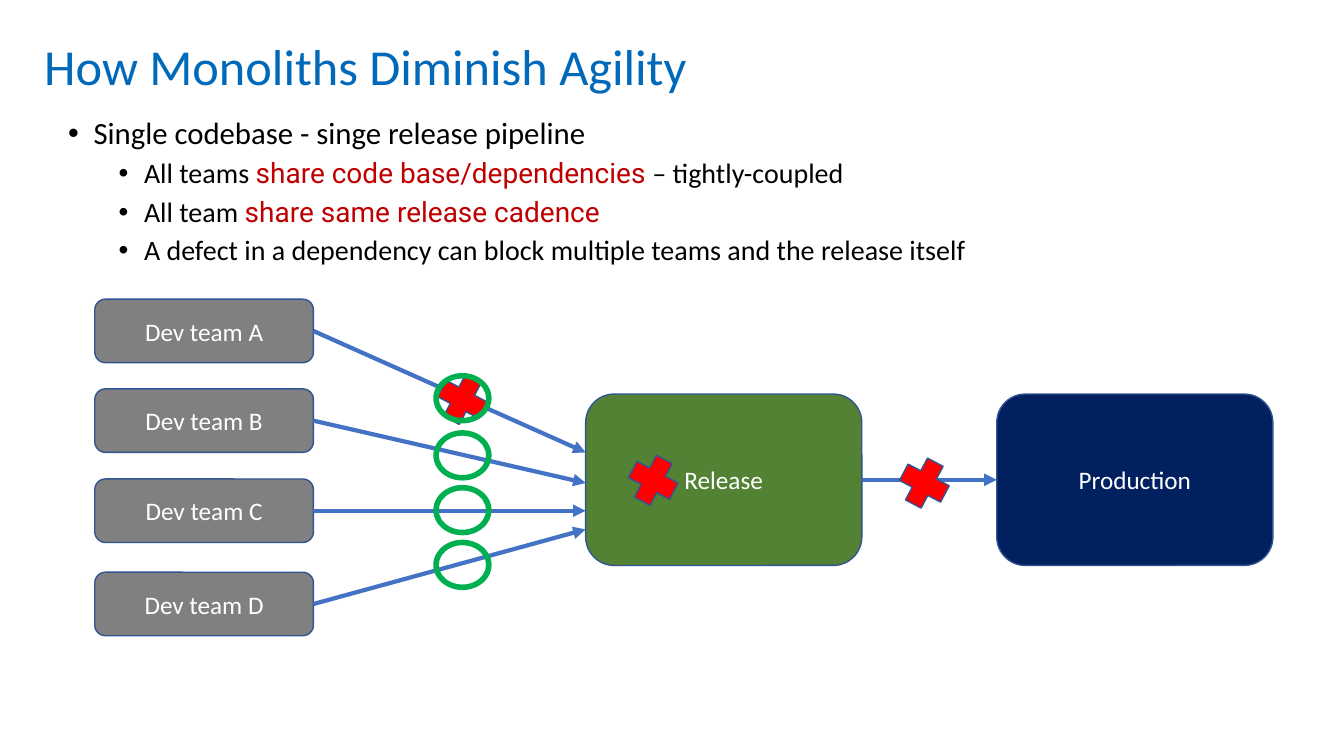
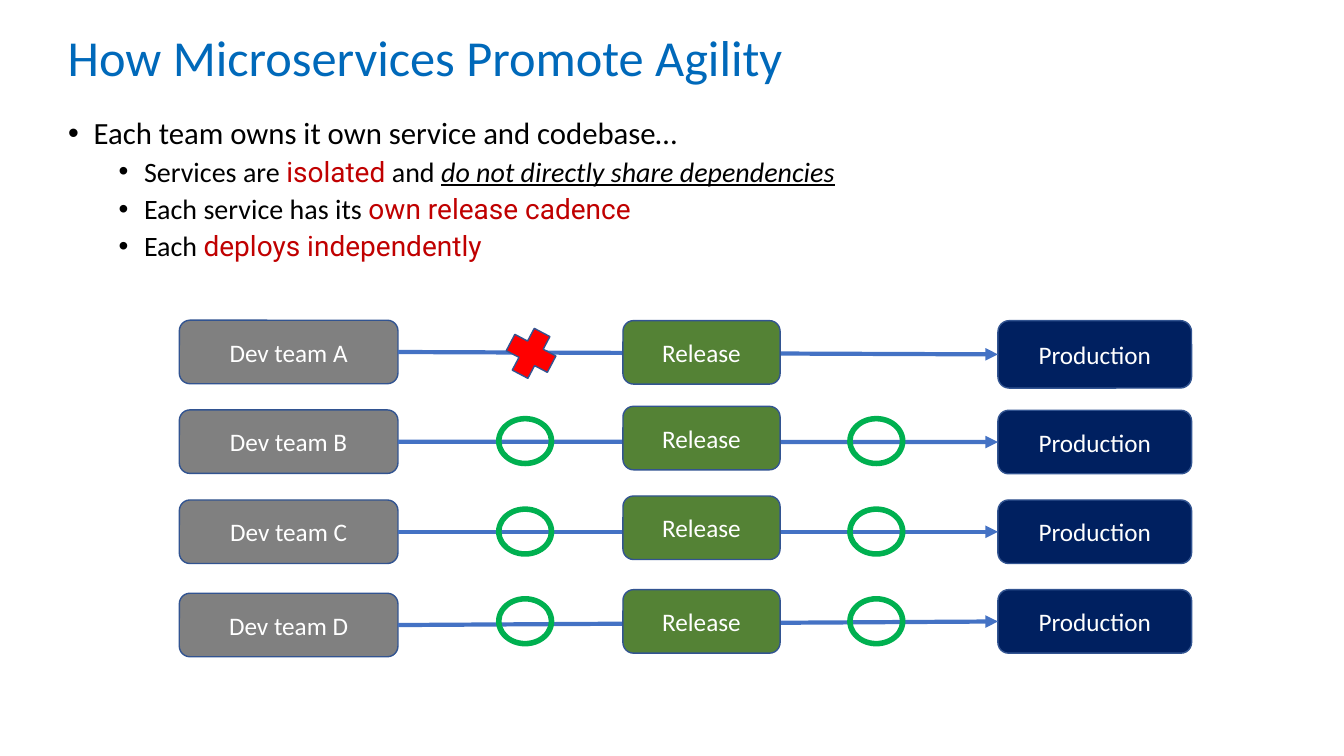
from dataclasses import dataclass

import pptx
import pptx.dml.color
import pptx.enum.shapes
import pptx.enum.text
import pptx.oxml
import pptx.oxml.ns
import pptx.util
from pptx.util import Cm, Pt

SHAPE = pptx.enum.shapes.MSO_SHAPE
ALIGN = pptx.enum.text.PP_ALIGN
COLORS = {
    "title": "0069BA", "text": "000000", "highlight": "C00000", "white": "FFFFFF",
    "team": "808080", "release": "548235", "production": "002060",
    "outline": "325491", "arrow": "4472C4", "blocked": "FF0000", "clear": "00B050",
}
TEAMS = ("A", "B", "C", "D")
TEAM_OFFSETS = (0, 2.26, 4.53, 6.88)
TEAM_WIDTH, ROW_HEIGHT = 5.51, 1.6


@dataclass(frozen=True)
class Box:
    """A place on the slide, in centimetres."""
    left: float
    top: float
    width: float
    height: float

    def lengths(self) -> tuple:
        return Cm(self.left), Cm(self.top), Cm(self.width), Cm(self.height)


@dataclass(frozen=True)
class Phrase:
    text: str
    highlight: bool = False
    emphasis: bool = False


@dataclass(frozen=True)
class Bullet:
    phrases: tuple
    level: int = 1


def rgb(name: str):
    return pptx.dml.color.RGBColor.from_string(COLORS[name])


def write(paragraph, text: str, *, size: float = 18, color: str = "text",
          font: str = "Calibri", emphasis: bool = False) -> None:
    run = paragraph.add_run()
    run.text = text
    run.font.name = font
    run.font.size = Pt(size)
    run.font.color.rgb = rgb(color)
    if emphasis:
        run.font.italic = run.font.underline = True


def add_slide(deck, title: str, place: Box):
    slide = deck.slides.add_slide(deck.slide_layouts[5])
    heading = slide.shapes.title
    heading.left, heading.top, heading.width, heading.height = place.lengths()
    frame = heading.text_frame
    frame.auto_size = pptx.enum.text.MSO_AUTO_SIZE.NONE
    frame.vertical_anchor = pptx.enum.text.MSO_ANCHOR.MIDDLE
    paragraph = frame.paragraphs[0]
    paragraph.alignment = ALIGN.LEFT
    paragraph.line_spacing = 0.9
    write(paragraph, title, size=36, color="title")
    return slide


def add_bullets(slide, bullets: tuple, gap: float) -> None:
    frame = slide.shapes.add_textbox(*Box(1.47, 2.84, 29.21, 4.2).lengths()).text_frame
    frame.word_wrap = True
    for index, bullet in enumerate(bullets):
        paragraph = frame.add_paragraph() if index else frame.paragraphs[0]
        paragraph.level = bullet.level
        paragraph.line_spacing = 0.9
        paragraph.space_before = Pt(gap if index else 0)
        properties = paragraph._p.get_or_add_pPr()
        properties.set("marL", str(Cm(0.64 + 1.27 * bullet.level)))
        properties.set("indent", str(Cm(-0.64)))
        for tag, attribute, value in (("a:buFont", "typeface", "Arial"),
                                      ("a:buChar", "char", "•")):
            mark = pptx.oxml.xmlchemy.OxmlElement(tag)
            mark.set(attribute, value)
            properties.append(mark)
        for phrase in bullet.phrases:
            write(paragraph, phrase.text, size=20 if bullet.level else 22,
                  font="Roboto" if phrase.highlight else "Calibri",
                  color="highlight" if phrase.highlight else "text",
                  emphasis=phrase.emphasis)


def add_figure(slide, preset, place: Box, fill: str, outlined: bool = True):
    figure = slide.shapes.add_shape(preset, *place.lengths())
    figure.shadow.inherit = False
    figure.fill.solid()
    figure.fill.fore_color.rgb = rgb(fill)
    if outlined:
        figure.line.color.rgb = rgb("outline")
        figure.line.width = Pt(1)
    else:
        figure.line.fill.background()
    return figure


def add_stage(slide, label: str, place: Box, fill: str):
    stage = add_figure(slide, SHAPE.ROUNDED_RECTANGLE, place, fill)
    stage.text_frame.vertical_anchor = pptx.enum.text.MSO_ANCHOR.MIDDLE
    paragraph = stage.text_frame.paragraphs[0]
    paragraph.alignment = ALIGN.CENTER
    write(paragraph, label, color="white")
    return stage


def add_teams(slide, left: float, top: float) -> list:
    return [add_stage(slide, f"Dev team {team}",
                      Box(left, top + offset, TEAM_WIDTH, ROW_HEIGHT), "team")
            for team, offset in zip(TEAMS, TEAM_OFFSETS)]


def add_cross(slide, left: float, top: float) -> None:
    cross = add_figure(slide, SHAPE.CROSS, Box(left, top, 1.17, 1.19), "blocked")
    cross.adjustments[0] = 0.31
    cross.rotation = 27.8


def add_ring(slide, left: float, top: float) -> None:
    ring = add_figure(slide, SHAPE.DONUT, Box(left, top, 1.47, 1.27), "clear", outlined=False)
    ring.adjustments[0] = 0.11


def add_arrow(slide, source, target=None, end: tuple = (0, 0)) -> None:
    """Run from the right side of source to the left side of target, or to a point."""
    arrow = slide.shapes.add_connector(
        pptx.enum.shapes.MSO_CONNECTOR.STRAIGHT, 0, 0, Cm(end[0]), Cm(end[1]))
    arrow.begin_connect(source, 3)
    if target is not None:
        arrow.end_connect(target, 1)
    arrow.line.color.rgb = rgb("arrow")
    arrow.line.width = Pt(3)
    head = pptx.oxml.xmlchemy.OxmlElement("a:tailEnd")
    head.set("type", "triangle")
    arrow.line._get_or_add_ln().append(head)
    arrow._element.spPr.append(pptx.oxml.xmlchemy.OxmlElement("a:effectLst"))


def build_monolith(deck) -> None:
    slide = add_slide(deck, "How Monoliths Diminish Agility", Box(0.86, 0.66, 29.21, 2.18))
    add_bullets(slide, (
        Bullet((Phrase("Single codebase - singe release pipeline"),), level=0),
        Bullet((Phrase("All teams "), Phrase("share code base/dependencies", highlight=True),
                Phrase(" – tightly-coupled"))),
        Bullet((Phrase("All team "), Phrase("share same release cadence", highlight=True))),
        Bullet((Phrase("A defect in a dependency can block multiple teams "
                       "and the release itself"),)),
    ), gap=6)

    # Four teams feed one shared release
    release_left = 14.76
    release = add_stage(slide, "Release", Box(release_left, 9.93, 6.96, 4.32), "release")
    production = add_stage(slide, "Production", Box(25.12, 9.93, 6.96, 4.32), "production")
    teams = add_teams(slide, 2.39, 7.54)
    for team, entry in zip(teams, (11.4, 12.17, 12.87, 13.34)):
        add_arrow(slide, team, end=(release_left, entry))
    add_arrow(slide, release, production)

    # Status marks
    for left, top in ((11.07, 9.47), (22.71, 11.58), (15.88, 11.51)):
        add_cross(slide, left, top)
    for top in (9.4, 10.84, 12.22, 13.6):
        add_ring(slide, 10.92, top)


def build_microservices(deck) -> None:
    slide = add_slide(deck, "How Microservices Promote Agility", Box(1.45, 0.61, 29.21, 1.8))
    add_bullets(slide, (
        Bullet((Phrase("Each team owns it own service and codebase…"),), level=0),
        Bullet((Phrase("Services are "), Phrase("isolated", highlight=True), Phrase(" and "),
                Phrase("do not directly share dependencies", emphasis=True))),
        Bullet((Phrase("Each service has its "),
                Phrase("own release cadence", highlight=True))),
        Bullet((Phrase("Each "), Phrase("deploys independently", highlight=True))),
    ), gap=5)

    # One pipeline per team; each release covers the middle of its arrow
    teams = add_teams(slide, 4.52, 8.07)
    release_tops = (8.08, 10.24, 12.5, 14.86)
    production_tops = (8.08, 10.34, 12.6, 14.86)
    for row, team in enumerate(teams):
        production = add_stage(
            slide, "Production",
            Box(25.15, production_tops[row], 4.88, ROW_HEIGHT if row else 1.7), "production")
        add_arrow(slide, team, production)
        add_stage(slide, "Release",
                  Box(15.7, release_tops[row], 3.96, ROW_HEIGHT), "release")

    # Status marks
    add_cross(slide, 12.8, 8.31)
    for left in (12.5, 21.35):
        for top in (10.48, 12.76, 15.02):
            add_ring(slide, left, top)


def main() -> None:
    deck = pptx.Presentation()
    deck.slide_width, deck.slide_height = Cm(33.87), Cm(19.05)
    build_monolith(deck)
    build_microservices(deck)
    deck.save("out.pptx")


if __name__ == "__main__":
    main()
